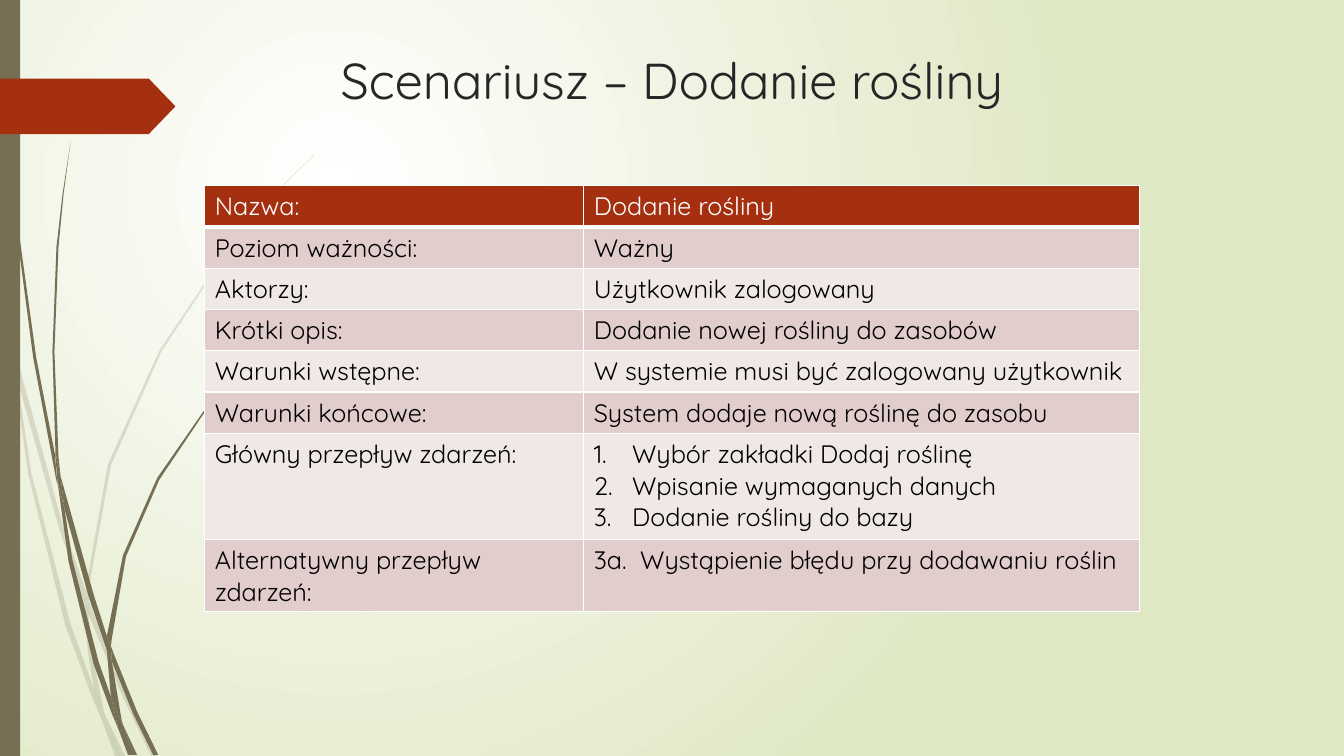
from lxml import etree
from pptx import Presentation
from pptx.dml.color import RGBColor
from pptx.enum.shapes import MSO_SHAPE
from pptx.enum.text import PP_ALIGN
from pptx.oxml.ns import qn
from pptx.util import Inches, Pt

RECT, PENTAGON = MSO_SHAPE.RECTANGLE, MSO_SHAPE.PENTAGON
LEFT, CENTER = PP_ALIGN.LEFT, PP_ALIGN.CENTER

FONT = "Quicksand"
OLIVE, RUST, WHITE, BLACK = "766F54", "A53010", "FFFFFF", "000000"
BANDS = ("F0E8E7", "E1CDCC")

TITLE = "Scenariusz – Dodanie rośliny"
ROWS = [
    ("Nazwa:", "Dodanie rośliny"),
    ("Poziom ważności:", "Ważny"),
    ("Aktorzy:", "Użytkownik zalogowany"),
    ("Krótki opis:", "Dodanie nowej rośliny do zasobów"),
    ("Warunki wstępne:", "W systemie musi być zalogowany użytkownik"),
    ("Warunki końcowe:", "System dodaje nową roślinę do zasobu"),
    ("Główny przepływ zdarzeń:",
     ["Wybór zakładki Dodaj roślinę", "Wpisanie wymaganych danych", "Dodanie rośliny do bazy"]),
    ("Alternatywny przepływ zdarzeń:", "3a.\tWystąpienie błędu przy dodawaniu roślin"),
]
COL_WIDTHS = (3.76, 5.51)
ROW_HEIGHTS = [0.41] * 6 + [1.05, 0.72]
NUMBER_INDENT, STEP_INDENT = 0.38, 0.46

# Grass blade outlines in inches
FAINT_BLADES = [
    [(0.11, 3.5), (0.09, 3.22), (0, 2.82), (0, 2.99), (0.1, 3.44)],
    [(0.58, 5.22), (0.84, 5.99), (0.85, 5.86), (0.62, 5.2), (0.14, 3.45), (0.17, 3.76)],
    [(0.92, 6.07), (0.88, 5.96), (0.88, 6.1), (1.23, 6.94), (1.5, 7.5), (1.55, 7.5),
     (1.27, 6.92)],
    [(1.19, 7.5), (1.24, 7.5), (1.05, 7.11)],
    [(0.93, 6.83), (0.7, 6.19), (0.31, 4.69), (0.17, 3.76), (0.11, 3.5), (0.28, 4.7),
     (0.65, 6.21), (0.92, 6.93), (1.01, 7.14), (0.99, 7.07)],
    [(0.84, 5.99), (0.87, 6.46), (0.93, 6.83), (0.96, 6.92), (1.05, 7.11), (1.03, 7.06),
     (0.91, 6.46), (0.88, 6.1), (0.88, 6.08)],
    [(0.88, 5.84), (1.1, 4.62), (1.6, 3.49), (2.29, 2.45), (2.68, 1.98), (2.9, 1.75),
     (3.12, 1.54), (3.12, 1.53), (2.89, 1.75), (2.68, 1.97), (2.28, 2.44), (1.58, 3.48),
     (1.07, 4.61), (0.85, 5.84), (0.85, 5.86), (0.88, 5.96)],
    [(1.01, 7.14), (1.14, 7.5), (1.19, 7.5)],
    [(0.88, 6.08), (0.88, 6.1), (0.88, 5.96), (0.85, 5.86), (0.84, 5.99)],
    [(0.96, 6.92), (0.93, 6.83), (0.99, 7.07), (1.01, 7.14), (1.19, 7.5), (1.05, 7.11)],
]
DARK_BLADES = [
    [(0.07, 1.1), (0.17, 2.33), (0.33, 3.55), (0.56, 4.77), (0.57, 4.81), (0.55, 4.57),
     (0.55, 4.53), (0.36, 3.55), (0.19, 2.32), (0.08, 1.09), (0.05, 0.48), (0.04, 0),
     (0.03, 0), (0.04, 0.48)],
    [(0.88, 5.92), (1.06, 6.45), (1.06, 6.31), (0.93, 5.9), (0.6, 4.72), (0.64, 5.05)],
    [(1.13, 6.49), (1.1, 6.41), (1.11, 6.56), (1.32, 7.08), (1.52, 7.49), (1.57, 7.49),
     (1.36, 7.06)],
    [(1.1, 6.91), (0.98, 6.57), (0.72, 5.56), (0.64, 5.05), (0.57, 4.77), (0.68, 5.57),
     (0.93, 6.59), (1.11, 7.08), (1.17, 7.22), (1.16, 7.17)],
    [(0.6, 4.72), (0.58, 4.53), (0.54, 3.49), (0.58, 2.45), (0.63, 1.93), (0.7, 1.41),
     (0.62, 1.93), (0.56, 2.45), (0.52, 3.49), (0.55, 4.49)],
    [(1.33, 7.49), (1.36, 7.49), (1.22, 7.19)],
    [(0.57, 4.77), (0.64, 5.05), (0.6, 4.72), (0.55, 4.49), (0.55, 4.53)],
    [(1.11, 6.33), (1.25, 5.52), (1.58, 4.76), (2.05, 4.06), (2.31, 3.74), (2.45, 3.59),
     (2.61, 3.44), (2.6, 3.44), (2.45, 3.58), (2.31, 3.73), (2.04, 4.05), (1.56, 4.74),
     (1.22, 5.51), (1.06, 6.31), (1.1, 6.41)],
    [(1.17, 7.22), (1.27, 7.49), (1.31, 7.49)],
    [(1.06, 6.45), (1.1, 6.91), (1.16, 7.06), (1.22, 7.19), (1.21, 7.16), (1.11, 6.56),
     (1.09, 6.51)],
    [(1.06, 6.45), (1.09, 6.51), (1.11, 6.56), (1.1, 6.41), (1.06, 6.31)],
    [(1.16, 7.06), (1.1, 6.91), (1.16, 7.17), (1.17, 7.22), (1.3, 7.49), (1.33, 7.49),
     (1.22, 7.19)],
]


def rgb(value):
    return RGBColor.from_string(value)


def paint(sp, color, opacity=100):
    sp.shadow.inherit = False
    sp.fill.solid()
    sp.fill.fore_color.rgb = rgb(color)
    sp.line.fill.background()
    if opacity < 100:
        clr = sp._element.spPr.find(qn("a:solidFill"))[0]
        etree.SubElement(clr, qn("a:alpha"), val=str(opacity * 1000))


def write(p, text, size=18, color=BLACK, align=LEFT, indent=0, numbered=False):
    p.alignment = align
    r = p.add_run()
    r.text = text
    r.font.name, r.font.size = FONT, Pt(size)
    r.font.color.rgb = rgb(color)
    if indent:
        pPr = p._p.get_or_add_pPr()
        pPr.set("marL", str(Inches(indent)))
        pPr.set("indent", str(-Inches(indent)))
        if numbered:
            etree.SubElement(pPr, qn("a:buFont"), typeface="+mj-lt")
            etree.SubElement(pPr, qn("a:buAutoNum"), type="arabicPeriod")


def border(cell, bottom=1):
    """Draw white cell borders; call before the cell is filled."""
    tcPr = cell._tc.get_or_add_tcPr()
    for side, width in (("L", 1), ("R", 1), ("T", 1), ("B", bottom)):
        ln = etree.SubElement(tcPr, qn("a:ln" + side), w=str(Pt(width)))
        etree.SubElement(etree.SubElement(ln, qn("a:solidFill")), qn("a:srgbClr"), val=WHITE)


def add_background(slide):
    fill = slide.background.fill
    fill.gradient()
    for stop, color in zip(fill.gradient_stops, (WHITE, "DFE8C4")):
        stop.color.rgb = rgb(color)
    grad = slide._element.find(".//" + qn("a:gradFill"))
    grad.remove(grad.find(qn("a:lin")))
    circle = etree.SubElement(grad, qn("a:path"), {"path": "circle"})
    etree.SubElement(circle, qn("a:fillToRect"), l="50000", t="50000", r="100000", b="100000")


def add_blades(shapes, blades, opacity):
    for blade in blades:
        points = [(Inches(x), Inches(y)) for x, y in blade]
        builder = shapes.build_freeform(*points[0])
        builder.add_line_segments(points[1:])
        paint(builder.convert_to_shape(), OLIVE, opacity)


def add_scenario_table(shapes):
    frame = shapes.add_table(len(ROWS), 2, Inches(2.03), Inches(1.84),
                             Inches(sum(COL_WIDTHS)), Inches(sum(ROW_HEIGHTS)))
    table = frame.table
    table.first_row = table.horz_banding = False
    for column, width in zip(table.columns, COL_WIDTHS):
        column.width = Inches(width)
    for i, row in enumerate(ROWS):
        table.rows[i].height = Inches(ROW_HEIGHTS[i])
        for j, content in enumerate(row):
            cell = table.cell(i, j)
            border(cell, bottom=1 if i else 3)
            cell.fill.solid()
            cell.fill.fore_color.rgb = rgb(BANDS[i % 2] if i else RUST)
            numbered = isinstance(content, list)
            for k, text in enumerate(content if numbered else [content]):
                tf = cell.text_frame
                p = tf.add_paragraph() if k else tf.paragraphs[0]
                indent = NUMBER_INDENT if numbered else STEP_INDENT if "\t" in text else 0
                write(p, text, color=BLACK if i else WHITE, indent=indent, numbered=numbered)


def main():
    prs = Presentation()
    prs.slide_width, prs.slide_height = Inches(13.33), Inches(7.5)
    slide = prs.slides.add_slide(prs.slide_layouts[6])
    shapes = slide.shapes
    add_background(slide)
    add_blades(shapes, FAINT_BLADES, 20)
    add_blades(shapes, DARK_BLADES, 100)
    paint(shapes.add_shape(RECT, 0, 0, Inches(0.2), Inches(7.5)), OLIVE)
    arrow = shapes.add_shape(PENTAGON, 0, Inches(0.78), Inches(1.74), Inches(0.55))
    arrow.adjustments[0] = 0.48
    paint(arrow, RUST)

    tf = shapes.add_textbox(0, Inches(0.44), Inches(13.33), Inches(1.4)).text_frame
    tf.word_wrap = True
    write(tf.paragraphs[0], TITLE, size=36, color="262626", align=CENTER)
    add_scenario_table(shapes)
    prs.save("out.pptx")


if __name__ == "__main__":
    main()
